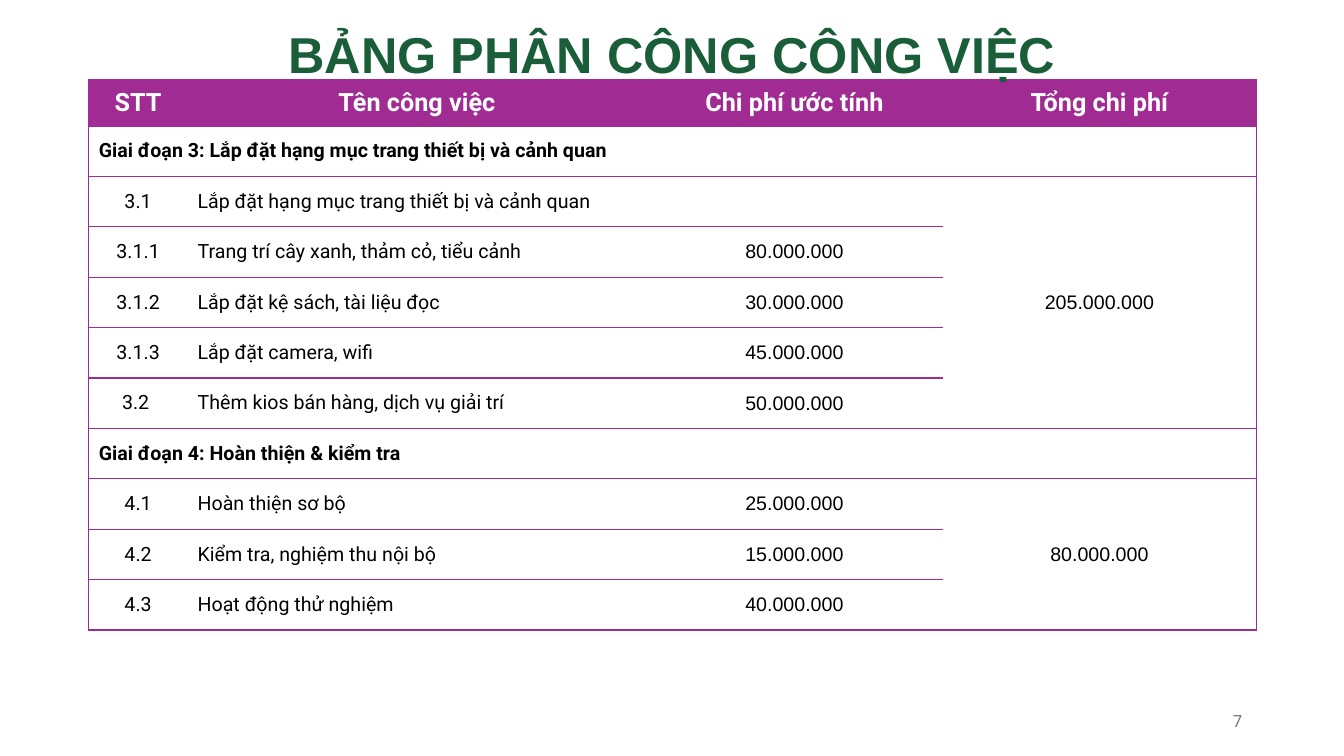
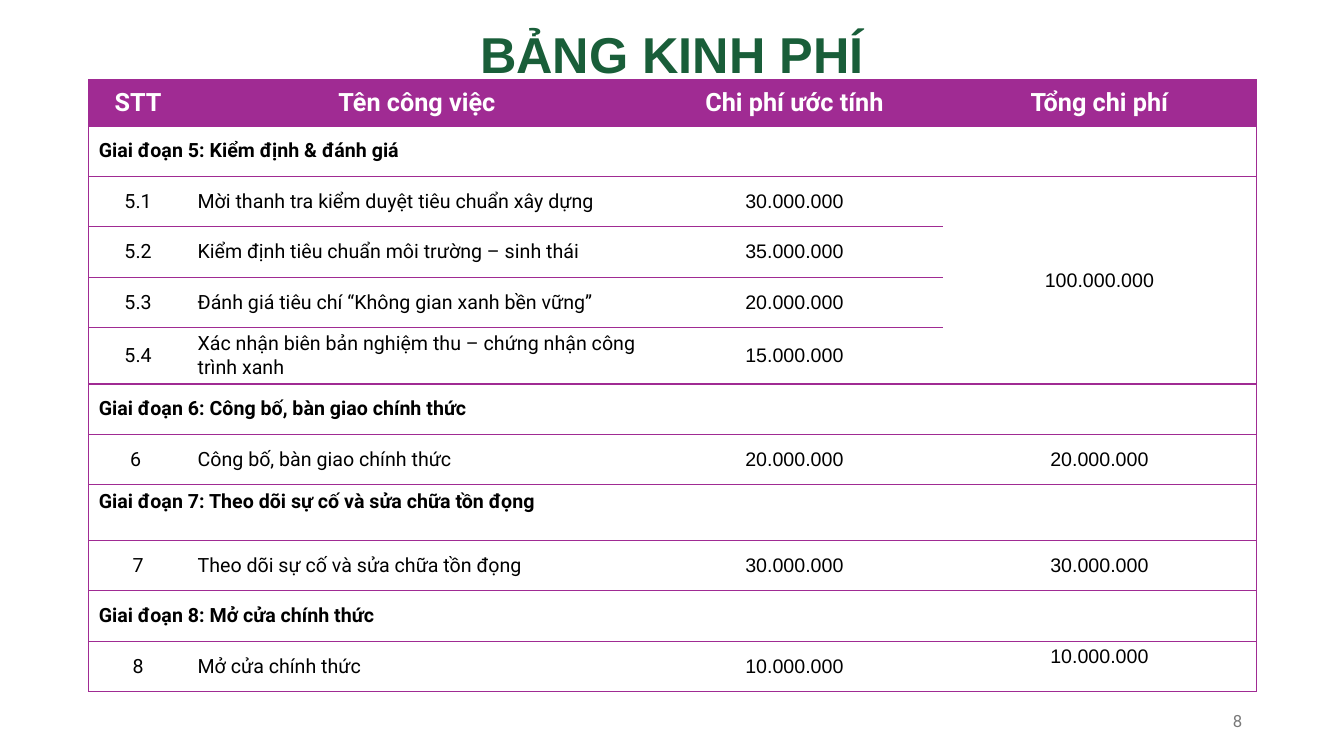
from dataclasses import dataclass

from lxml import etree
from pptx import Presentation
from pptx.dml.color import RGBColor
from pptx.enum.text import MSO_ANCHOR, MSO_AUTO_SIZE, PP_ALIGN
from pptx.oxml.ns import qn
from pptx.util import Inches, Pt

LEFT, CENTER, RIGHT = PP_ALIGN.LEFT, PP_ALIGN.CENTER, PP_ALIGN.RIGHT
TOP, MIDDLE = MSO_ANCHOR.TOP, MSO_ANCHOR.MIDDLE
NO_AUTO_SIZE = MSO_AUTO_SIZE.NONE

PURPLE, GREEN, GREY = "A02B93", "195E39", "797979"
WHITE, BLACK = "FFFFFF", "000000"
BODY_FONT, NUMBER_FONT = "Roboto", "Arial"

PAGE_WIDTH, PAGE_HEIGHT = 13.33, 7.5
TITLE_ONLY = 5
FIRST_NUMBER = 7
TABLE_LEFT, TABLE_TOP = 0.88, 0.79
COLUMN_WIDTHS = [0.98, 4.55, 2.94, 3.11]
TOTAL_COLUMN = len(COLUMN_WIDTHS) - 1
HEADER_HEIGHT, ROW_HEIGHT, TALL_HEIGHT = 0.46, 0.5, 0.55
HEADINGS = ["STT", "Tên công việc", "Chi phí ước tính", "Tổng chi phí"]


@dataclass
class Phase:
    heading: str
    total: str
    tasks: list
    heading_anchor: object = MIDDLE
    total_anchor: object = MIDDLE


PAGES = [
    ("BẢNG PHÂN CÔNG CÔNG VIỆC", [
        Phase("Giai đoạn 3: Lắp đặt hạng mục trang thiết bị và cảnh quan", "205.000.000", [
            ("3.1", "Lắp đặt hạng mục trang thiết bị và cảnh quan", ""),
            ("3.1.1", "Trang trí cây xanh, thảm cỏ, tiểu cảnh", "80.000.000"),
            ("3.1.2", "Lắp đặt kệ sách, tài liệu đọc", "30.000.000"),
            ("3.1.3", "Lắp đặt camera, wifi", "45.000.000"),
            ("3.2 ", "Thêm kios bán hàng, dịch vụ giải trí", "50.000.000"),
        ]),
        Phase("Giai đoạn 4: Hoàn thiện & kiểm tra", "80.000.000", [
            ("4.1", "Hoàn thiện sơ bộ", "25.000.000"),
            ("4.2", "Kiểm tra, nghiệm thu nội bộ", "15.000.000"),
            ("4.3", "Hoạt động thử nghiệm", "40.000.000"),
        ]),
    ]),
    ("BẢNG KINH PHÍ", [
        Phase("Giai đoạn 5: Kiểm định & đánh giá", "100.000.000", [
            ("5.1", "Mời thanh tra kiểm duyệt tiêu chuẩn xây dựng", "30.000.000"),
            ("5.2", "Kiểm định tiêu chuẩn môi trường – sinh thái", "35.000.000"),
            ("5.3", "Đánh giá tiêu chí “Không gian xanh bền vững”", "20.000.000"),
            ("5.4", "Xác nhận biên bản nghiệm thu – chứng nhận công trình xanh", "15.000.000"),
        ]),
        Phase("Giai đoạn 6: Công bố, bàn giao chính thức", "20.000.000", [
            ("6 ", "Công bố, bàn giao chính thức", "20.000.000"),
        ]),
        Phase("Giai đoạn 7: Theo dõi sự cố và sửa chữa tồn đọng", "30.000.000", [
            ("7", "Theo dõi sự cố và sửa chữa tồn đọng", "30.000.000"),
        ], heading_anchor=TOP),
        Phase("Giai đoạn 8: Mở cửa chính thức", "10.000.000", [
            ("8", "Mở cửa chính thức", "10.000.000"),
        ], total_anchor=TOP),
    ]),
]


def color(value):
    return RGBColor.from_string(value)


def write(frame, text, size, font, ink, bold=False, align=LEFT):
    para = frame.paragraphs[0]
    para.alignment = align
    span = para.add_run()
    span.text = text
    span.font.size = Pt(size)
    span.font.name = font
    span.font.bold = bold
    span.font.color.rgb = color(ink)
    return para


def fill_cell(cell, text, size=14, font=BODY_FONT, ink=BLACK, bold=False,
              align=CENTER, anchor=MIDDLE):
    cell.vertical_anchor = anchor
    if text:
        write(cell.text_frame, text, size, font, ink, bold, align)


def set_borders(cell, sides):
    properties = cell._tc.get_or_add_tcPr()
    for side in "LRTB":
        line = etree.SubElement(properties, qn(f"a:ln{side}"), w=str(Pt(1)))
        if side in sides:
            solid = etree.SubElement(line, qn("a:solidFill"))
            etree.SubElement(solid, qn("a:srgbClr"), val=PURPLE)
        else:
            etree.SubElement(line, qn("a:noFill"))


def style_row(table, row, background=None, total_sides="TB"):
    for column in range(len(COLUMN_WIDTHS)):
        cell = table.cell(row, column)
        sides = total_sides if column == TOTAL_COLUMN else "TB"
        if column == 0:
            sides += "L"
        if column == TOTAL_COLUMN or cell.is_merge_origin and cell.span_width > 1:
            sides += "R"
        set_borders(cell, sides)
        if background:
            cell.fill.solid()
            cell.fill.fore_color.rgb = color(background)
        else:
            cell.fill.background()


def add_header(table):
    table.rows[0].height = Inches(HEADER_HEIGHT)
    for column, heading in enumerate(HEADINGS):
        fill_cell(table.cell(0, column), heading, size=18, ink=WHITE, bold=True)
    style_row(table, 0, PURPLE)


def add_phase(table, row, phase):
    heading = table.cell(row, 0)
    heading.merge(table.cell(row, TOTAL_COLUMN))
    fill_cell(heading, phase.heading, bold=True, align=LEFT, anchor=phase.heading_anchor)
    style_row(table, row)
    if phase.heading_anchor == TOP:
        table.rows[row].height = Inches(TALL_HEIGHT)

    first, last = row + 1, row + len(phase.tasks)
    total = table.cell(first, TOTAL_COLUMN)
    if last > first:
        total.merge(table.cell(last, TOTAL_COLUMN))
    fill_cell(total, phase.total, font=NUMBER_FONT, anchor=phase.total_anchor)
    for task_row, (number, name, cost) in enumerate(phase.tasks, first):
        fill_cell(table.cell(task_row, 0), number)
        fill_cell(table.cell(task_row, 1), name, align=LEFT)
        fill_cell(table.cell(task_row, 2), cost, font=NUMBER_FONT)
        covered_sides = "B" if task_row == last else ""
        style_row(table, task_row, total_sides="TB" if task_row == first else covered_sides)
    return last + 1


def add_cost_table(page, phases):
    row_count = 1 + sum(1 + len(phase.tasks) for phase in phases)
    height = HEADER_HEIGHT + ROW_HEIGHT * (row_count - 1)
    table = page.shapes.add_table(
        row_count, len(COLUMN_WIDTHS), Inches(TABLE_LEFT), Inches(TABLE_TOP),
        Inches(sum(COLUMN_WIDTHS)), Inches(height)).table
    table.first_row = table.horz_banding = False
    for column, width in zip(table.columns, COLUMN_WIDTHS):
        column.width = Inches(width)
    for line in table.rows:
        line.height = Inches(ROW_HEIGHT)
    add_header(table)
    row = 1
    for phase in phases:
        row = add_phase(table, row, phase)


def set_title(page, text):
    title = page.shapes.title
    title.left, title.top = Inches(0), Inches(-0.05)
    title.width, title.height = Inches(PAGE_WIDTH), Inches(0.85)
    frame = title.text_frame
    frame.word_wrap = True
    frame.auto_size = NO_AUTO_SIZE
    frame.vertical_anchor = TOP
    para = write(frame, text, 36, NUMBER_FONT, GREEN, True, CENTER)
    para.line_spacing = Pt(59.8)
    title.element.getparent().append(title.element)


def add_page_number(page, number):
    box = page.shapes.add_textbox(Inches(9.42), Inches(6.95), Inches(3), Inches(0.4))
    box.text_frame.word_wrap = True
    box.text_frame.vertical_anchor = MIDDLE
    write(box.text_frame, str(number), 12, BODY_FONT, GREY, align=RIGHT)


def main():
    deck = Presentation()
    deck.slide_width, deck.slide_height = Inches(PAGE_WIDTH), Inches(PAGE_HEIGHT)
    for number, (title, phases) in enumerate(PAGES, FIRST_NUMBER):
        page = deck.slides.add_slide(deck.slide_layouts[TITLE_ONLY])
        add_cost_table(page, phases)
        set_title(page, title)
        add_page_number(page, number)
    deck.save("out.pptx")


if __name__ == "__main__":
    main()
